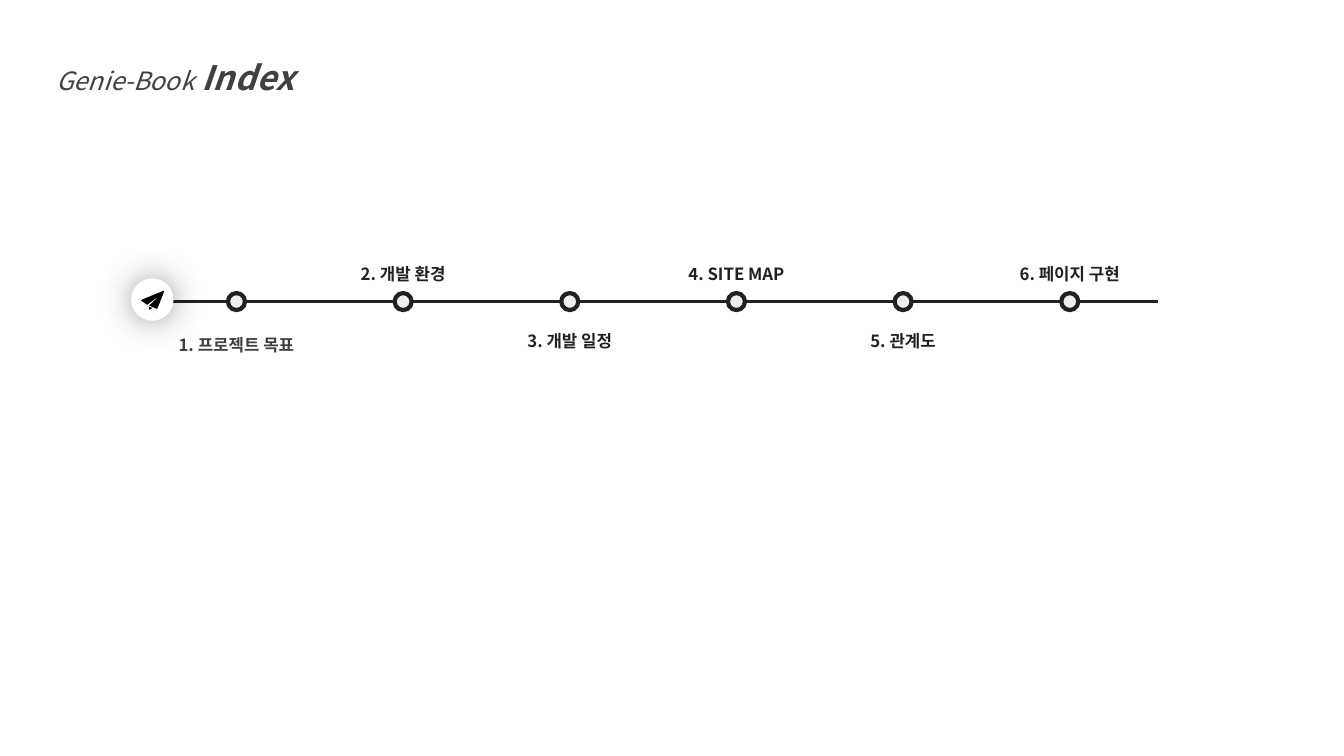
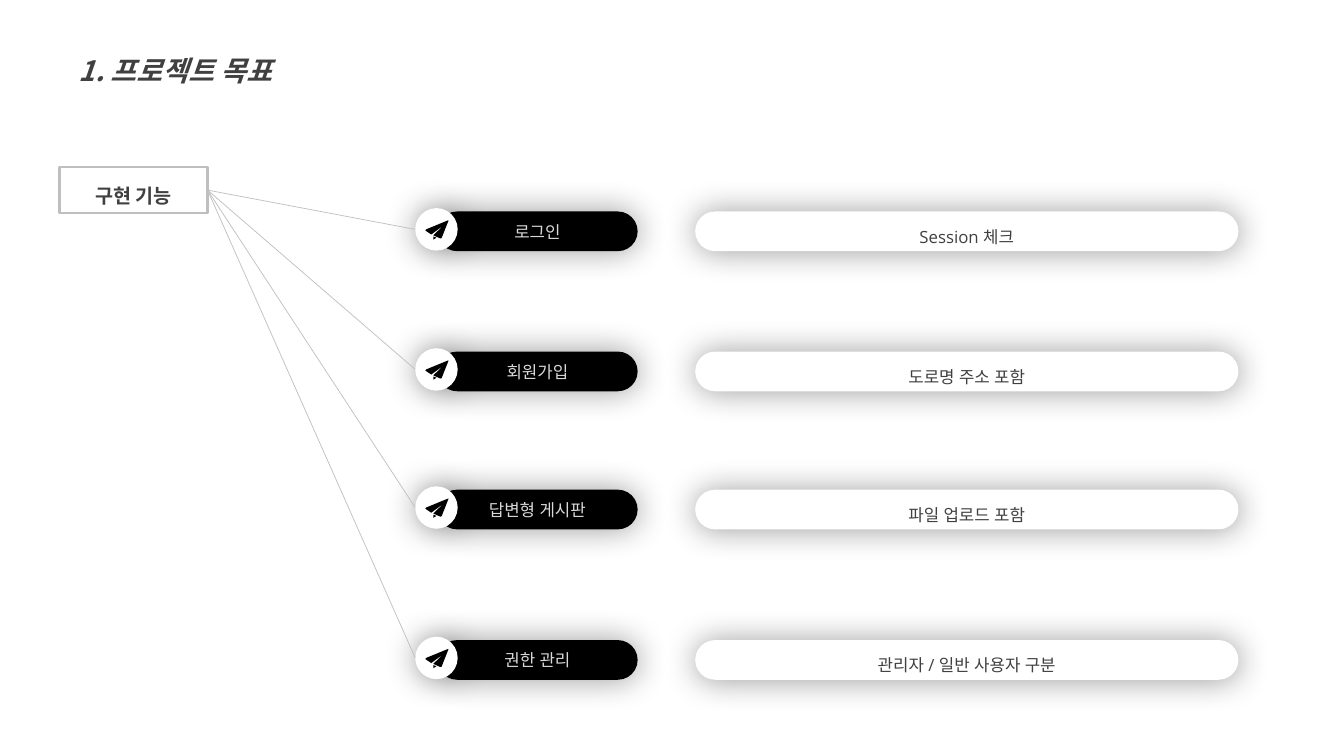
"""Build the index slide and the project goal slide."""
from lxml.etree import SubElement
from pptx import Presentation
from pptx.dml.color import RGBColor
from pptx.enum.shapes import MSO_CONNECTOR, MSO_SHAPE
from pptx.enum.text import MSO_ANCHOR, MSO_AUTO_SIZE, PP_ALIGN
from pptx.oxml.ns import qn
from pptx.util import Cm, Pt

COLORS = {
    "black": "000000", "white": "FFFFFF", "ink": "212121", "text": "404040",
    "node": "EEEEEE", "rule": "BFBFBF", "pale": "D9D9D9",
}
HEAD, BODY = "Noto Sans CJK KR", "Open Sans"

INDEX_TITLE = [("Genie-Book", 18, False), (" Index", 24, True)]
GOAL_TITLE = [("1. 프로젝트 목표", 20, True)]
STOPS = [
    ("1. 프로젝트 목표", 8.05, "text"),
    ("2. 개발 환경", 6.27, "ink"),
    ("3. 개발 일정", 7.95, "ink"),
    ("4. SITE MAP", 6.27, "ink"),
    ("5. 관계도", 7.95, "ink"),
    ("6. 페이지 구현", 6.27, "ink"),
]
ROOT = "구현 기능"
FEATURES = [
    ("로그인", "Session 체크", 5.33),
    ("회원가입", "도로명 주소 포함", 8.86),
    ("답변형 게시판", "파일 업로드 포함", 12.34),
    ("권한 관리", "관리자 / 일반 사용자 구분", 16.13),
]

AXIS_Y, AXIS_LEFT, AXIS_RIGHT = 7.6, 3.84, 29.18
FIRST_STOP, STOP_GAP, NODE = 5.96, 4.2, 0.43
LABEL_W, LABEL_H = 5.46, 1.0
BADGE = 1.07
PLANE_FLAP = [(-0.08, 0.18), (0, 0.21), (-0.08, 0.26)]
PLANE_BODY = [
    (0.3, -0.23), (0.3, -0.21), (0.13, 0.22), (0.1, 0.23), (-0.08, 0.15),
    (0.18, -0.1), (-0.13, 0.13), (-0.25, 0.05), (-0.28, 0.03), (-0.26, 0),
]
ROOT_BOX = (1.5, 4.22, 3.73, 1.14)
PILL_X, PILL_W, PILL_H = 11.02, 5.05, 1.0
DETAIL_X, DETAIL_W = 17.52, 13.69
BADGE_X, BADGE_DROP = 11.0, 0.45


def rgb(name):
    return RGBColor.from_string(COLORS[name])


def add_run(p, text, size, color, font=HEAD, bold=False, italic=False):
    r = p.add_run()
    r.text = text
    r.font.size, r.font.bold, r.font.italic = Pt(size), bold, italic
    r.font.name = font
    r.font.color.rgb = rgb(color)
    SubElement(r._r.get_or_add_rPr(), qn("a:ea"), typeface=font)


def add_title(s, runs, left, width, height):
    title = s.shapes.title
    title.left, title.top = Cm(left), Cm(0.79)
    title.width, title.height = Cm(width), Cm(height)
    tf = title.text_frame
    tf.word_wrap, tf.auto_size = True, MSO_AUTO_SIZE.NONE
    tf.vertical_anchor = MSO_ANCHOR.TOP
    p = tf.paragraphs[0]
    p.alignment, p.line_spacing = PP_ALIGN.LEFT, 1.5
    for text, size, bold in runs:
        add_run(p, text, size, "text", bold=bold, italic=True)


def add_box(shapes, kind, at, fill=None, line=None, glow=False):
    sp = shapes.add_shape(kind, *map(Cm, at))
    sp.shadow.inherit = False
    if fill:
        sp.fill.solid()
        sp.fill.fore_color.rgb = rgb(fill)
    else:
        sp.fill.background()
    if line:
        sp.line.color.rgb = rgb(line[0])
        sp.line.width = Pt(line[1])
    else:
        sp.line.fill.background()
    if glow:
        effects = sp._element.spPr.find(qn("a:effectLst"))
        shadow = SubElement(effects, qn("a:outerShdw"), blurRad=str(Pt(24)),
                            dist="0", dir="0", algn="ctr", rotWithShape="0")
        color = SubElement(shadow, qn("a:srgbClr"), val=COLORS["black"])
        SubElement(color, qn("a:alpha"), val="40000")
    return sp


def set_text(sp, text, size, color, font=HEAD, bold=False, spacing=1.5,
             inset=None, anchor=MSO_ANCHOR.MIDDLE):
    tf = sp.text_frame
    tf.word_wrap, tf.vertical_anchor = True, anchor
    if inset is not None:
        tf.margin_left = tf.margin_right = Cm(inset)
        tf.margin_top = tf.margin_bottom = Cm(inset)
    p = tf.paragraphs[0]
    p.alignment = PP_ALIGN.CENTER
    if spacing:
        p.line_spacing = spacing
    add_run(p, text, size, color, font, bold)


def add_pill(s, at, fill, text, color, spacing):
    pill = add_box(s.shapes, MSO_SHAPE.ROUNDED_RECTANGLE, at, fill, glow=True)
    pill.adjustments[0] = 0.5
    set_text(pill, text, 12, color, BODY, spacing=spacing, inset=0)


def add_line(s, x1, y1, x2, y2, color, width):
    line = s.shapes.add_connector(MSO_CONNECTOR.STRAIGHT,
                                  Cm(x1), Cm(y1), Cm(x2), Cm(y2))
    line.line.color.rgb = rgb(color)
    line.line.width = Pt(width)
    SubElement(line._element.spPr, qn("a:effectLst"))


def circle_at(x, y, size):
    return x - size / 2, y - size / 2, size, size


def add_badge(s, x, y):
    shapes = s.shapes.add_group_shape().shapes
    add_box(shapes, MSO_SHAPE.OVAL, circle_at(x, y, BADGE), "white", glow=True)
    flap, body = ([(Cm(x + dx), Cm(y + dy)) for dx, dy in part]
                  for part in (PLANE_FLAP, PLANE_BODY))
    outline = shapes.build_freeform(*flap[0], scale=1.0)
    outline.add_line_segments(flap[1:])
    outline.move_to(*body[0])
    outline.add_line_segments(body[1:])
    plane = outline.convert_to_shape()
    plane.shadow.inherit = False
    plane.fill.solid()
    plane.fill.fore_color.rgb = rgb("black")
    plane.line.fill.background()


def build_index(s):
    add_title(s, INDEX_TITLE, 1.17, 12.67, 1.6)
    add_line(s, AXIS_LEFT, AXIS_Y, AXIS_RIGHT, AXIS_Y, "ink", 2.25)
    add_badge(s, AXIS_LEFT, 7.55)
    for i, (text, top, color) in enumerate(STOPS):
        x = FIRST_STOP + i * STOP_GAP
        add_box(s.shapes, MSO_SHAPE.OVAL, circle_at(x, AXIS_Y, NODE),
                "node", ("ink", 3))
        label = s.shapes.add_textbox(Cm(x - LABEL_W / 2), Cm(top),
                                     Cm(LABEL_W), Cm(LABEL_H))
        set_text(label, text, 12, color, bold=True, anchor=MSO_ANCHOR.TOP)


def build_goal(s):
    add_title(s, GOAL_TITLE, 1.73, 7.6, 1.37)
    left, top, width, height = ROOT_BOX
    root = add_box(s.shapes, MSO_SHAPE.RECTANGLE, ROOT_BOX, line=("rule", 1.5))
    set_text(root, ROOT, 14, "text", bold=True)
    for name, detail, y in FEATURES:
        add_pill(s, (PILL_X, y, PILL_W, PILL_H), "black", name, "pale", None)
        add_pill(s, (DETAIL_X, y, DETAIL_W, PILL_H), "white", detail, "text", 1.5)
        add_badge(s, BADGE_X, y + BADGE_DROP)
        add_line(s, BADGE_X - BADGE / 2, y + BADGE_DROP,
                 left + width, top + height / 2, "rule", 0.5)


prs = Presentation()
prs.slide_width, prs.slide_height = Cm(33.87), Cm(19.05)
for build in (build_index, build_goal):
    build(prs.slides.add_slide(prs.slide_layouts[5]))
prs.save("out.pptx")
